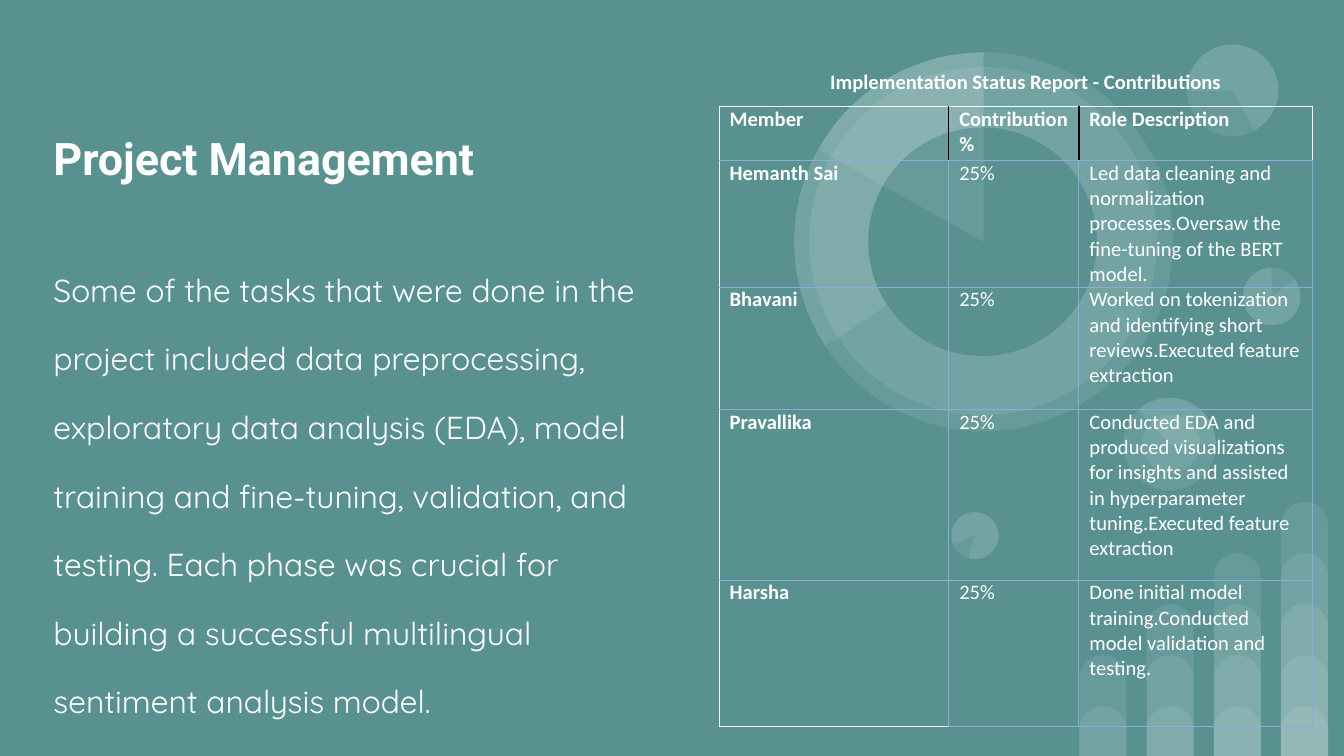
import pptx
import pptx.util
import pptx.dml.color
import pptx.enum.shapes
import pptx.enum.text
import pptx.oxml
import pptx.oxml.ns
from lxml import etree

Cm, Pt = pptx.util.Cm, pptx.util.Pt
KIND = pptx.enum.shapes.MSO_SHAPE
ANCHOR = pptx.enum.text.MSO_ANCHOR
qn = pptx.oxml.ns.qn

HUES = {"back": "599191", "white": "FFFFFF", "rule": "8EAADB", "black": "000000"}
HEAD = {"name": "Roboto", "size": Pt(24), "bold": True}
BODY = {"name": "Quicksand", "size": Pt(17), "bold": False}
CELL = {"name": "Calibri", "size": Pt(11), "bold": False}
BOLD = {**CELL, "bold": True}

ROWS = [
    ("Member", "Contribution %", "Role Description"),
    ("Hemanth Sai", "25%", "Led data cleaning and normalization processes."
     "Oversaw the fine-tuning of the BERT model."),
    ("Bhavani", "25%", "Worked on tokenization and identifying short reviews."
     "Executed feature extraction"),
    ("Pravallika", "25%", "Conducted EDA and produced visualizations for insights "
     "and assisted in hyperparameter tuning.Executed feature extraction"),
    ("Harsha", "25%", "Done initial model training."
     "Conducted model validation and testing."),
]
WIDTHS = (4.34, 2.46, 4.42)
TALLS = (1.02, 2.31, 2.31, 3.23, 2.77)

DISCS = {
    "right": (8.48, 4.22, 1.09, 0),
    "low": (2.97, 8.84, 0.89, 196.2),
    "mid": (6.22, 6.68, 1.75, 90),
    "core": (6.58, 7.01, 1.09, 90),
    "top": (7.42, 0, 1.73, 215.9),
    "main": (0, 0.15, 7.16, 0),
    "ring": (0.28, 0.43, 6.58, 34.1),
    "hole": (1.4, 1.57, 4.32, 34.1),
}
STACK = [
    ("right", None), ("low", None), ("mid", None), ("mid", (82.45, 162.46)),
    ("core", None), ("right", (193.77, 162)), ("top", None),
    ("top", (193.77, 123.14)), ("main", None), ("ring", None),
    ("main", (88.01, 162)), ("hole", None), ("main", (125.54, 162)),
    ("low", (193.77, 162)),
]


def tint(name):
    """Return the named colour."""
    return pptx.dml.color.RGBColor.from_string(HUES[name])


def apply(item, style):
    """Set each attribute of item from a dict."""
    for key, value in style.items():
        setattr(item, key, value)


def write(frame, text, style, **para):
    """Write one white paragraph into a text frame."""
    line = frame.paragraphs[0]
    line.text = text
    apply(line, {"alignment": pptx.enum.text.PP_ALIGN.LEFT, "space_before": Pt(0), **para})
    font = line.runs[0].font
    apply(font, style)
    font.color.rgb = tint("white")


def frame(shape, box, anchor):
    """Place a text shape in its box and return its frame."""
    apply(shape, dict(zip(("left", "top", "width", "height"), map(Cm, box))))
    sides = ("left", "right", "top", "bottom")
    body = shape.text_frame
    apply(body, {f"margin_{side}": Cm(0.25) for side in sides})
    apply(body, {"word_wrap": True, "vertical_anchor": anchor,
                 "auto_size": pptx.enum.text.MSO_AUTO_SIZE.NONE})
    return body


def veil(shapes, kind, box, adjust=(), solid=False):
    """Add one plain shape, see-through white unless solid."""
    shape = shapes.add_shape(kind, *map(Cm, box))
    shape.shadow.inherit = False
    shape.line.fill.background()
    shape.fill.solid()
    shape.fill.fore_color.rgb = tint("back" if solid else "white")
    for spot, value in enumerate(adjust):
        shape.adjustments[spot] = value
    if not solid:
        hue = next(shape.fill._xPr.iter(qn("a:srgbClr")))
        etree.SubElement(hue, qn("a:alpha"), val="9000")
    return shape


def bars(slide, box):
    """Draw columns of stacked bars rising to the right."""
    left, top, width, height = box
    shapes = slide.shapes.add_group_shape().shapes
    pitch, low = 1.27, 0.94
    step = (height - low) / 4
    for col in range(4):
        for level in range(col + 2):
            tall = low + level * step
            spot = (left + col * pitch, top + height - tall, width - 3 * pitch, tall)
            veil(shapes, KIND.ROUND_2_SAME_RECTANGLE, spot, (0.5, 0))


def dials(slide, box):
    """Draw the layered discs and their slices."""
    left, top = box[:2]
    shapes = slide.shapes.add_group_shape().shapes
    for name, slice in STACK:
        x, y, size, turn = DISCS[name]
        kind = KIND.PIE if slice else KIND.OVAL
        spot = (left + x, top + y, size, size)
        disc = veil(shapes, kind, spot, slice or (), name == "hole")
        disc.rotation = turn


def intro(slide, box):
    """Fill the title and the text below it."""
    left, top, width, height = box
    title, body = slide.placeholders
    write(frame(title, (left, top, 8.81, 2.49), ANCHOR.MIDDLE), "Project Management",
          HEAD, line_spacing=2.0, space_after=Pt(8))
    write(frame(body, (left, top + 3.07, width, height - 3.07), ANCHOR.TOP),
          "Some of the tasks that were done in the project included data "
          "preprocessing, exploratory data analysis (EDA), model training and "
          "fine-tuning, validation, and testing. Each phase was crucial for "
          "building a successful multilingual sentiment analysis model.",
          BODY, line_spacing=1.8, space_after=Pt(8))


def edges(cell, row, col):
    """Rule the four sides of a cell."""
    first, final = row == 0, row == len(ROWS) - 1
    inner = "black" if first else "rule"
    outer = "white" if first else "rule"
    hues = {
        "lnL": "white" if col == 0 else inner,
        "lnR": outer if col == 2 else inner,
        "lnT": outer,
        "lnB": "white" if final and col == 0 else "rule",
    }
    props = cell._tc.get_or_add_tcPr()
    for spot, (side, hue) in enumerate(hues.items()):
        line = etree.Element(qn(f"a:{side}"), w=str(Pt(0.75 if hue == "black" else 0.5)))
        fill = etree.SubElement(line, qn("a:solidFill"))
        etree.SubElement(fill, qn("a:srgbClr"), val=HUES[hue])
        props.insert(spot, line)


def report(slide, box):
    """Place the caption and the table of members."""
    left, top, width, height = box
    label = slide.shapes.add_textbox(0, 0, 0, 0)
    write(frame(label, (left + 1.85, top - 0.99, 8.36, 0.56), ANCHOR.TOP),
          "Implementation Status Report - Contributions", BOLD,
          line_spacing=1.08, space_after=Pt(8))
    table = slide.shapes.add_table(len(ROWS), 3, *map(Cm, box)).table
    apply(table, {"first_row": False, "horz_banding": False})
    for col, part in zip(table.columns, WIDTHS):
        col.width = Cm(width * part / sum(WIDTHS))
    for row, part in zip(table.rows, TALLS):
        row.height = Cm(height * part / sum(TALLS))
    pads = {"margin_left": Cm(0.2), "margin_right": Cm(0.2),
            "margin_top": 0, "margin_bottom": 0}
    for row, texts in enumerate(ROWS):
        for col, text in enumerate(texts):
            cell = table.cell(row, col)
            apply(cell, pads)
            cell.fill.background()
            write(cell.text_frame, text, CELL if row and col else BOLD)
            edges(cell, row, col)


def main():
    """Build and save the slide."""
    deck = pptx.Presentation()
    apply(deck, {"slide_width": Cm(25.4), "slide_height": Cm(14.29)})
    slide = deck.slides.add_slide(deck.slide_layouts[0])
    slide.background.fill.solid()
    slide.background.fill.fore_color.rgb = tint("back")
    bars(slide, (20.4, 9.49, 4.7, 4.8))
    dials(slide, (15.01, 0.84, 9.57, 9.73))
    intro(slide, (0.76, 1.22, 11.81, 7.39))
    report(slide, (13.59, 2.01, 11.22, 11.64))
    deck.save("out.pptx")


if __name__ == "__main__":
    main()
